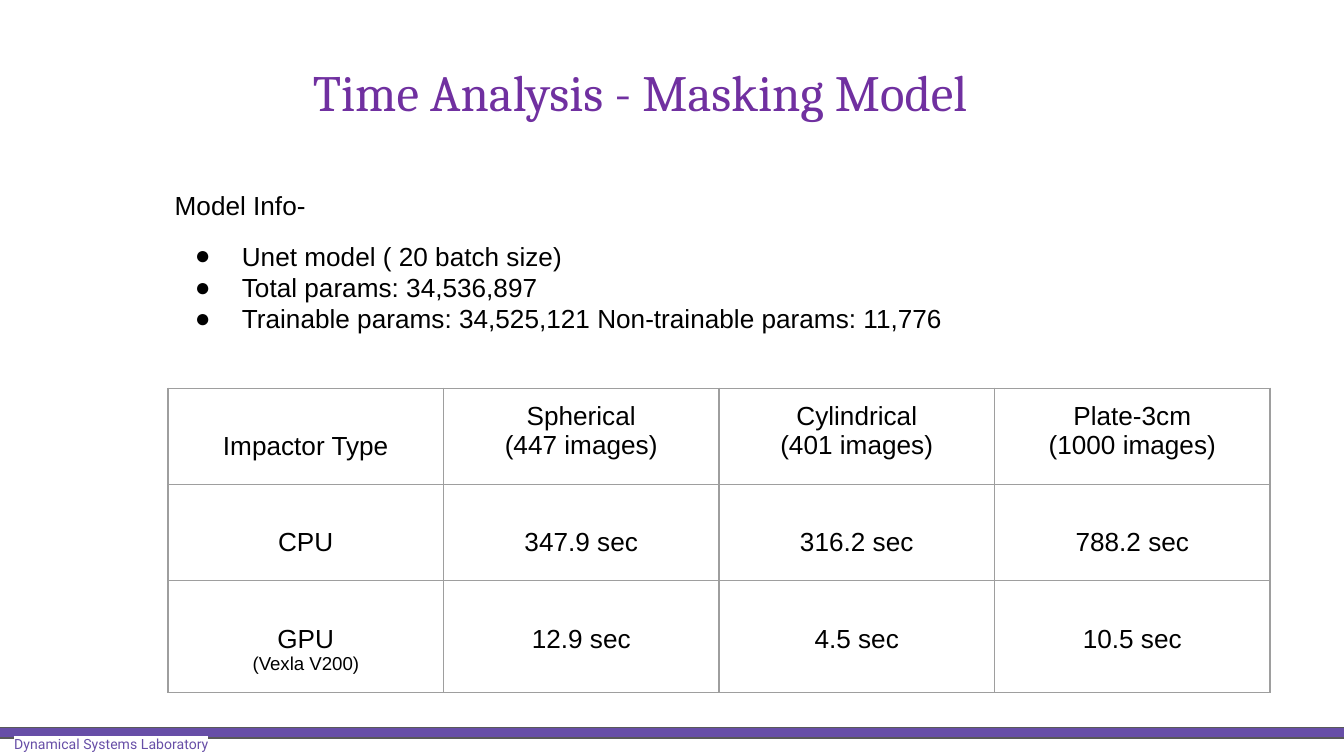
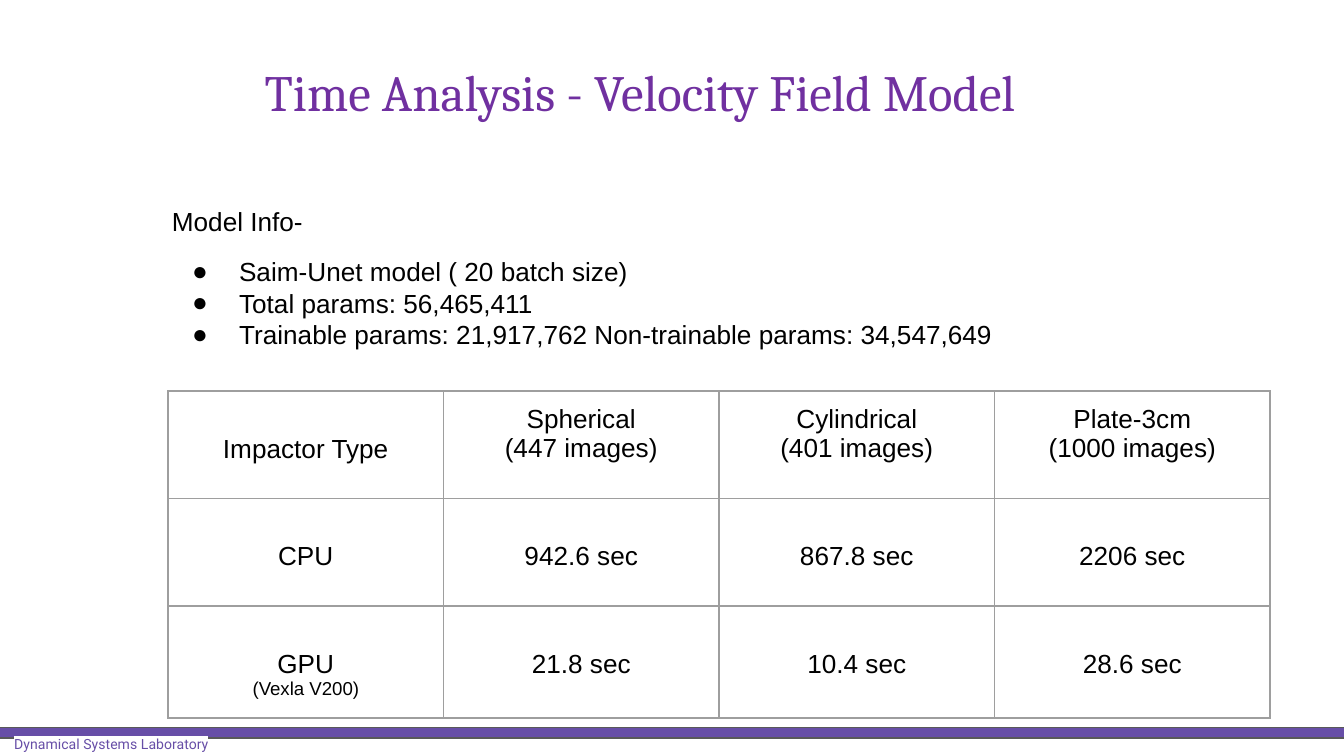
from lxml import etree
from pptx import Presentation
from pptx.dml.color import RGBColor
from pptx.enum.shapes import MSO_SHAPE
from pptx.enum.text import MSO_AUTO_SIZE, PP_ALIGN
from pptx.oxml.ns import qn
from pptx.util import Pt

WHITE = RGBColor(0xFF, 0xFF, 0xFF)
BLACK = RGBColor(0x00, 0x00, 0x00)
TITLE_PURPLE = RGBColor(0x70, 0x30, 0xA0)
BAND_PURPLE = RGBColor(0x67, 0x4E, 0xA7)
BAND_LINE = RGBColor(0x59, 0x59, 0x59)
GRID_GREY = RGBColor(0x9E, 0x9E, 0x9E)

INSET = 7.2
BODY_SIZE = 14
NOTE_SIZE = 10
BODY_LINE = 16.1  # height of one line of body text
COL_WIDTH = 147.6
GPU_ROW = 60

HEADER = ["Impactor Type", "Spherical\n(447 images)",
          "Cylindrical\n(401 images)", "Plate-3cm\n(1000 images)"]
GPU_NOTE = "(Vexla V200)"


def add_color(parent, tag, color):
    el = etree.SubElement(parent, qn(tag))
    etree.SubElement(el, qn("a:srgbClr"), val=str(color))
    return el


class Deck:
    def __init__(self):
        self.prs = Presentation()
        self.prs.slide_width, self.prs.slide_height = Pt(720), Pt(405)
        self.s = None

    def new_slide(self, title):
        self.s = self.prs.slides.add_slide(self.prs.slide_layouts[6])
        self.band()
        self.footer("Dynamical Systems Laboratory")
        self.title(title)

    def style(self, p, size, color, font="Arial"):
        for r in p.runs:
            r.font.size, r.font.name = Pt(size), font
            r.font.color.rgb = color

    def text(self, x, y, w, h, lines, size, color, font="Arial"):
        tf = self.s.shapes.add_textbox(Pt(x), Pt(y), Pt(w), Pt(h)).text_frame
        tf.word_wrap = True
        tf.auto_size = MSO_AUTO_SIZE.SHAPE_TO_FIT_TEXT
        tf.margin_left = tf.margin_right = Pt(INSET)
        tf.margin_top = tf.margin_bottom = Pt(INSET)
        tf.text = "\n".join(lines)
        for p in tf.paragraphs:
            self.style(p, size, color, font)
        return tf.paragraphs

    def band(self):
        sp = self.s.shapes.add_shape(MSO_SHAPE.RECTANGLE, Pt(-2), Pt(389.6),
                                     Pt(725), Pt(5.8))
        sp.shadow.inherit = False
        sp.fill.solid()
        sp.fill.fore_color.rgb = BAND_PURPLE
        sp.line.color.rgb = BAND_LINE
        sp.line.width = Pt(0.75)

    def footer(self, text):
        p = self.text(0.5, 389.5, 297.5, 23.7, [text], 7.5, BAND_PURPLE, "Roboto")[0]
        rPr = p.runs[0].font._element
        rPr.find(qn("a:solidFill")).addnext(add_color(rPr, "a:highlight", WHITE))

    def title(self, text):
        p = self.text(69, 25.2, 512, 47.5, [text], 27.2, TITLE_PURPLE, "Cambria")[0]
        p.alignment = PP_ALIGN.CENTER
        p._p.get_or_add_pPr().set("indent", str(Pt(36)))

    def model_info(self, x, y, items):
        ps = self.text(x, y, 564.5, 92.2, ["Model Info-", *items], BODY_SIZE, BLACK)
        ps[1].space_before = Pt(10)
        for p in ps[1:]:
            pPr = p._p.get_or_add_pPr()
            pPr.set("marL", str(Pt(36)))
            pPr.set("indent", str(Pt(-25.2)))
            add_color(pPr, "a:buClr", BLACK)
            etree.SubElement(pPr, qn("a:buFont"), typeface="Arial")
            etree.SubElement(pPr, qn("a:buChar"), char="●")

    def cell(self, cell, text, top):
        cell.fill.background()
        cell.margin_left = cell.margin_right = cell.margin_bottom = Pt(INSET)
        cell.margin_top = Pt(top)
        cell.text_frame.text = text
        for p in cell.text_frame.paragraphs:
            p.alignment = PP_ALIGN.CENTER
            self.style(p, NOTE_SIZE if p.text == GPU_NOTE else BODY_SIZE, BLACK)
        # Borders come before the fill in the cell properties
        tcPr = cell._tc.get_or_add_tcPr()
        for i, side in enumerate("LRTB"):
            ln = etree.Element(qn(f"a:ln{side}"), w=str(Pt(0.75)))
            add_color(ln, "a:solidFill", GRID_GREY)
            tcPr.insert(i, ln)

    def timing_table(self, y, row_height, cpu, gpu):
        rows = [HEADER, ["CPU", *cpu], [f"GPU\n{GPU_NOTE}", *gpu]]
        heights = [row_height, row_height, GPU_ROW]
        tbl = self.s.shapes.add_table(
            len(rows), len(HEADER), Pt(90), Pt(y),
            Pt(COL_WIDTH * len(HEADER)), Pt(sum(heights))).table
        tbl.first_row = tbl.horz_banding = False
        for col in tbl.columns:
            col.width = Pt(COL_WIDTH)
        for i, (values, height) in enumerate(zip(rows, heights)):
            tbl.rows[i].height = Pt(height)
            for j, value in enumerate(values):
                # Two-line headings start at the top, the rest one line lower
                two_line = i == 0 and j > 0
                self.cell(tbl.cell(i, j), value,
                          INSET if two_line else INSET + BODY_LINE)


def main():
    deck = Deck()

    # Masking model
    deck.new_slide("Time Analysis - Masking Model")
    deck.timing_table(208, 51.6, ["347.9 sec", "316.2 sec", "788.2 sec"],
                      ["12.9 sec", "4.5 sec", "10.5 sec"])
    deck.model_info(86.5, 94.5, [
        "Unet model ( 20 batch size)",
        "Total params: 34,536,897",
        "Trainable params: 34,525,121 Non-trainable params: 11,776"])

    # Velocity field model
    deck.new_slide("Time Analysis - Velocity Field Model")
    deck.timing_table(209.5, 57.6, ["942.6 sec", "867.8 sec", "2206 sec"],
                      ["21.8 sec", "10.4 sec", "28.6 sec"])
    deck.model_info(85, 103, [
        "Saim-Unet model ( 20 batch size)",
        "Total params: 56,465,411",
        "Trainable params: 21,917,762 Non-trainable params: 34,547,649"])

    deck.prs.save("out.pptx")


if __name__ == "__main__":
    main()
